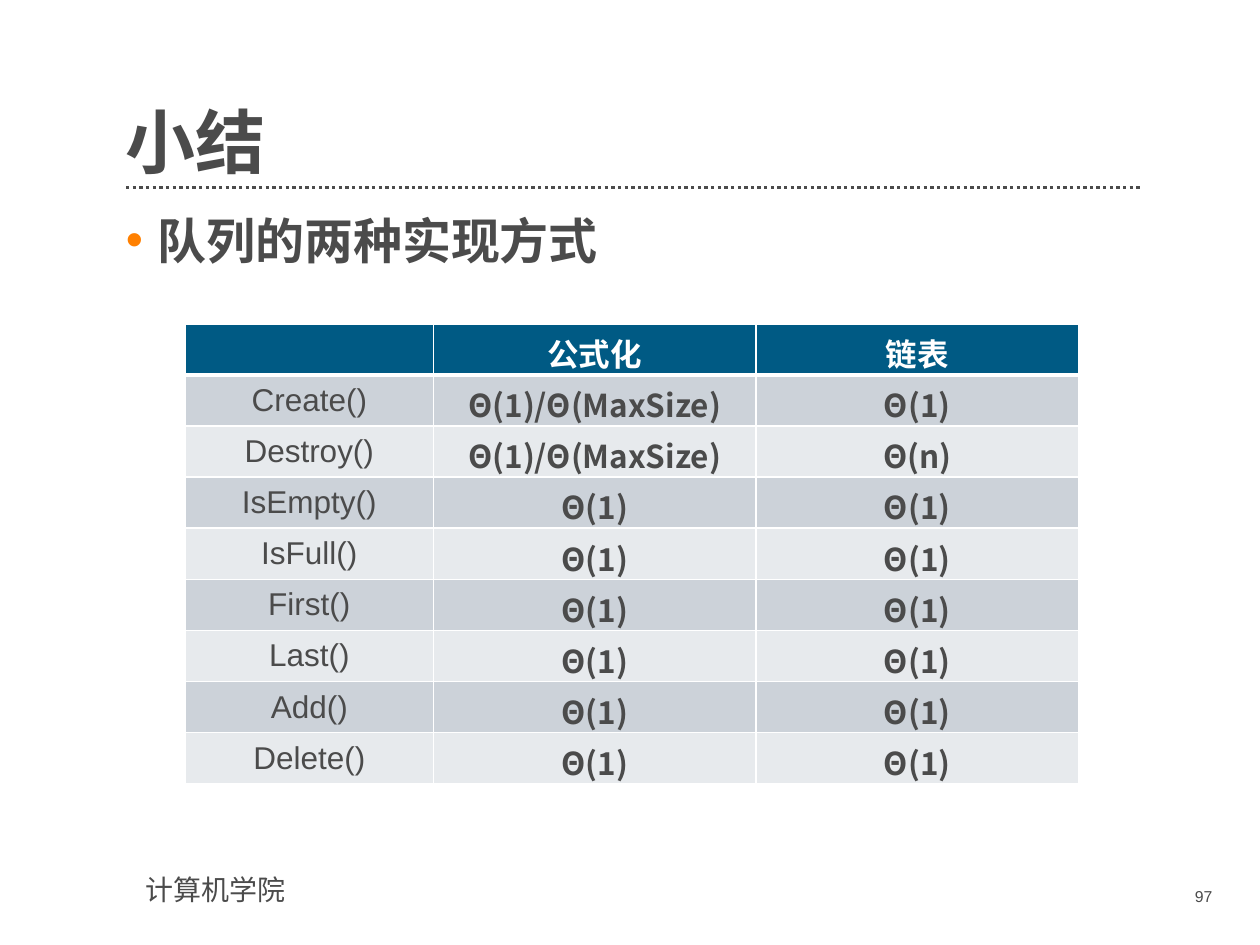
import pptx
import pptx.util
import pptx.dml.color
import pptx.enum.dml
import pptx.enum.shapes
import pptx.enum.text
import pptx.oxml
import pptx.oxml.ns
from dataclasses import dataclass

Inches, Pt = pptx.util.Inches, pptx.util.Pt
ALIGN, ANCHOR = pptx.enum.text.PP_ALIGN, pptx.enum.text.MSO_ANCHOR


@dataclass(frozen=True)
class Theme:
    ink: str = "4B4B4B"
    white: str = "FFFFFF"
    bullet: str = "FF8000"
    header: str = "005A84"
    bands: tuple = ("CCD2D9", "E7EAED")
    latin: str = "Arial"
    cjk: str = "Noto Sans CJK SC"
    title_size: int = 40
    body_size: int = 28
    table_size: int = 18
    footer_size: int = 16
    number_size: int = 9


THEME = Theme()
CONSTANT = "Θ(1)"
ARRAY_SIZED = "Θ(1)/Θ(MaxSize)"
HEADINGS = ("", "公式化", "链表")
COSTS = [
    ("Create()", ARRAY_SIZED, CONSTANT),
    ("Destroy()", ARRAY_SIZED, "Θ(n)"),
    *((f"{operation}()", CONSTANT, CONSTANT)
      for operation in ("IsEmpty", "IsFull", "First", "Last", "Add", "Delete")),
]


def rgb(color):
    return pptx.dml.color.RGBColor.from_string(color)


def element(xml):
    return pptx.oxml.parse_xml(
        xml.replace(" ", f" {pptx.oxml.ns.nsdecls('a')} ", 1))


def write(paragraph, text, *, size, font=THEME.latin, color=THEME.ink,
          bold=False, align=ALIGN.LEFT):
    paragraph.alignment = align
    run = paragraph.add_run()
    run.text = text
    run.font.size, run.font.bold, run.font.name = Pt(size), bold, font
    run.font.color.rgb = rgb(color)
    run.font._element.append(element(f'<a:ea typeface="{THEME.cjk}"/>'))


def add_frame(slide, box, *, margins=(0.1, 0.05, 0.1, 0.05), anchor=ANCHOR.TOP):
    frame = slide.shapes.add_textbox(*map(Inches, box)).text_frame
    frame.word_wrap = True
    frame.vertical_anchor = anchor
    (frame.margin_left, frame.margin_top,
     frame.margin_right, frame.margin_bottom) = map(Inches, margins)
    return frame


def add_title(slide, box):
    left, top, width, height = box
    title = add_frame(slide, box, margins=(0, 0, 0, 0),
                      anchor=ANCHOR.BOTTOM).paragraphs[0]
    title.line_spacing = 0.9
    write(title, "小结", size=THEME.title_size, font=THEME.cjk, bold=True)

    # Dotted rule just below the title
    rule_y = Inches(top + height + 0.03)
    rule = slide.shapes.add_connector(
        pptx.enum.shapes.MSO_CONNECTOR.STRAIGHT,
        Inches(left), rule_y, Inches(left + width), rule_y)
    rule.line.color.rgb = rgb(THEME.ink)
    rule.line.width = Pt(1.9)
    rule.line.dash_style = pptx.enum.dml.MSO_LINE.ROUND_DOT
    rule._element.spPr.append(element("<a:effectLst />"))


def add_body(slide, box):
    point = add_frame(slide, box, margins=(0, 0, 0.2, 0)).paragraphs[0]
    properties = point._p.get_or_add_pPr()
    properties.set("marL", str(Inches(0.25)))
    properties.set("indent", str(Inches(-0.25)))
    properties.append(element(
        f'<a:buClr ><a:srgbClr val="{THEME.bullet}"/></a:buClr>'))
    properties.append(element('<a:buFont typeface="Arial"/>'))
    properties.append(element('<a:buChar char="•"/>'))
    write(point, "队列的两种实现方式", size=THEME.body_size,
          font=THEME.cjk, bold=True)


def format_cell(cell, fill, bottom_width=1):
    cell.vertical_anchor = ANCHOR.MIDDLE
    cell.fill.solid()
    cell.fill.fore_color.rgb = rgb(fill)
    properties = cell._tc.get_or_add_tcPr()
    for position, side in enumerate("LRTB"):
        width = Pt(bottom_width if side == "B" else 1)
        properties.insert(position, element(
            f'<a:ln{side} w="{width}"><a:solidFill>'
            f'<a:srgbClr val="{THEME.white}"/></a:solidFill></a:ln{side}>'))


def add_cost_table(slide, box):
    left, top, width, height = box
    operation_width = 1.97
    table = slide.shapes.add_table(
        len(COSTS) + 1, len(HEADINGS), *map(Inches, box)).table
    cost_width = (width - operation_width) / 2
    for column, column_width in zip(
            table.columns, (operation_width, cost_width, cost_width)):
        column.width = Inches(column_width)

    # Header row
    for cell, heading in zip(table.rows[0].cells, HEADINGS):
        format_cell(cell, THEME.header, bottom_width=3)
        if heading:
            write(cell.text_frame.paragraphs[0], heading, size=THEME.table_size,
                  color=THEME.white, bold=True, align=ALIGN.CENTER)

    # Banded rows: plain operation names, bold costs
    for row, costs in enumerate(COSTS, start=1):
        for column, text in enumerate(costs):
            cell = table.cell(row, column)
            format_cell(cell, THEME.bands[(row - 1) % 2],)
            is_cost = column > 0
            write(cell.text_frame.paragraphs[0], text, size=THEME.table_size,
                  font=THEME.cjk if is_cost else THEME.latin,
                  bold=is_cost, align=ALIGN.CENTER)


def add_footer(slide, school_box, number_box):
    write(add_frame(slide, school_box).paragraphs[0], "计算机学院",
          size=THEME.footer_size)
    write(add_frame(slide, number_box).paragraphs[0], "97",
          size=THEME.number_size, align=ALIGN.RIGHT)


def main():
    deck = pptx.Presentation()
    deck.slide_width, deck.slide_height = Inches(10), Inches(7.5)
    slide = deck.slides.add_slide(deck.slide_layouts[6])
    add_footer(slide, (1.06, 6.88, 2.56, 0.37), (8.73, 6.99, 0.99, 0.29))
    add_title(slide, (1, 0.55, 8.06, 0.91))
    add_body(slide, (1, 1.67, 8.06, 5))
    add_cost_table(slide, (1.47, 2.57, 7.09, 3.65))
    deck.save("out.pptx")


if __name__ == "__main__":
    main()
